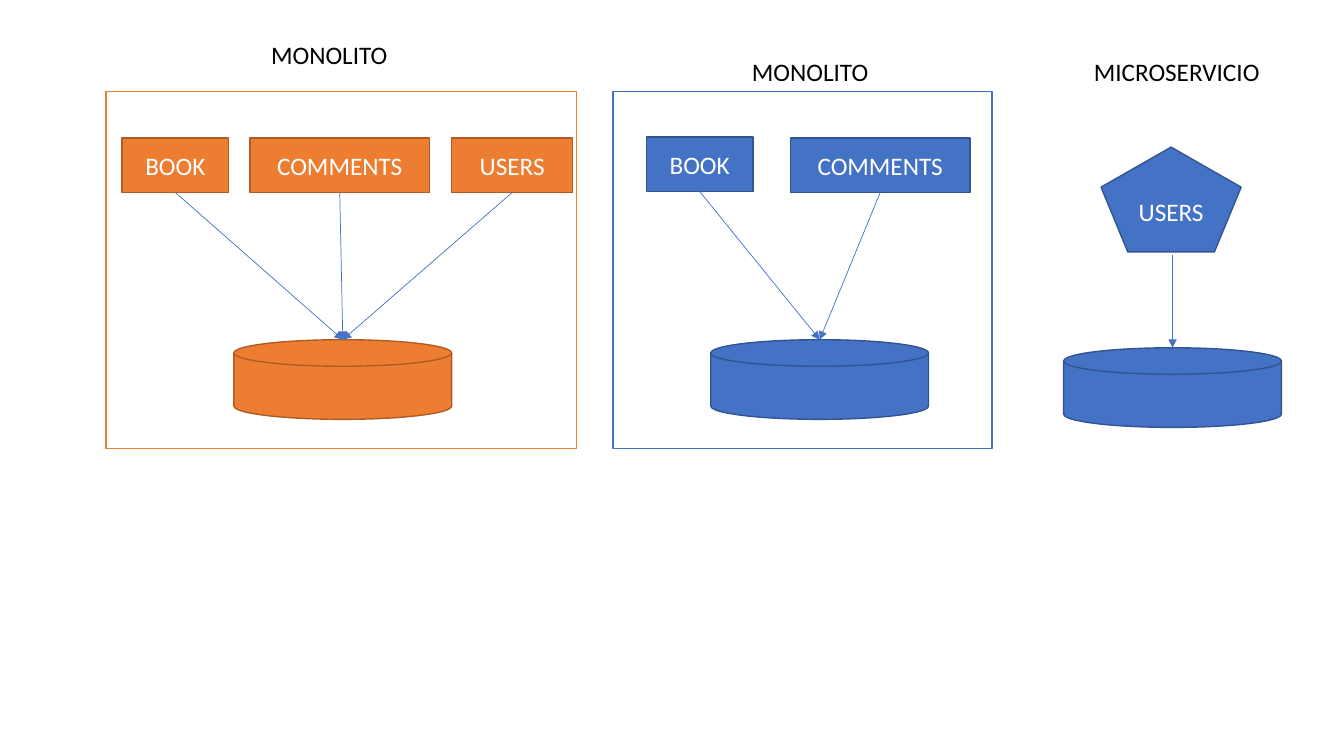
import pptx
import pptx.util
import pptx.dml.color
import pptx.enum.shapes
import pptx.enum.text
import pptx.oxml
from pptx.oxml.ns import qn
from pptx.util import Inches

SHAPES = pptx.enum.shapes.MSO_SHAPE
ORANGE, ORANGE_EDGE = "ED7D31", "AF5C24"
BLUE, BLUE_EDGE = "4472C4", "325491"
WHITE, BLACK = "FFFFFF", "000000"


def color(hex_string):
    """Return the RGB colour for a hex string."""
    return pptx.dml.color.RGBColor.from_string(hex_string)


def add_box(text, box, kind=None, fill=None, line=None, font_color=WHITE):
    """Add a shape of the given kind, or a text box if there is no kind."""
    lengths = [Inches(length) for length in box]
    if kind is None:
        shape = slide.shapes.add_textbox(*lengths)
        shape.text_frame.auto_size = pptx.enum.text.MSO_AUTO_SIZE.SHAPE_TO_FIT_TEXT
        alignment = pptx.enum.text.PP_ALIGN.LEFT
    else:
        shape = slide.shapes.add_shape(kind, *lengths)
        shape.shadow.inherit = False
        shape.fill.solid()
        shape.fill.fore_color.rgb = color(fill)
        shape.line.color.rgb = color(line)
        shape.line.width = pptx.util.Pt(1)
        shape.text_frame.vertical_anchor = pptx.enum.text.MSO_ANCHOR.MIDDLE
        alignment = pptx.enum.text.PP_ALIGN.CENTER
    shape.text_frame.word_wrap = True
    if text:
        paragraph = shape.text_frame.paragraphs[0]
        paragraph.alignment = alignment
        run = paragraph.add_run()
        run.text = text
        run.font.name = "Calibri"
        run.font.size = pptx.util.Pt(18)
        run.font.color.rgb = color(font_color)


presentation = pptx.Presentation()
presentation.slide_width = Inches(13.33)
presentation.slide_height = Inches(7.5)
slide = presentation.slides.add_slide(presentation.slide_layouts[6])

# Each system: title and its place, frame, database place, colours, services.
# Each service: name, shape, box, gap between the shape and its arrow.
systems = [
    ("MONOLITO", (2.59, 0.34), (1.05, 0.91, 4.67, 3.54), (2.32, 3.37),
     ORANGE, ORANGE_EDGE, [
         ("BOOK", SHAPES.RECTANGLE, (1.21, 1.37, 1.06, 0.54), 0),
         ("COMMENTS", SHAPES.RECTANGLE, (2.48, 1.37, 1.78, 0.54), 0),
         ("USERS", SHAPES.RECTANGLE, (4.48, 1.37, 1.2, 0.54), 0)]),
    ("MONOLITO", (7.36, 0.51), (6.08, 0.91, 3.76, 3.54), (7.05, 3.37),
     BLUE, BLUE_EDGE, [
         ("BOOK", SHAPES.RECTANGLE, (6.41, 1.36, 1.06, 0.54), 0),
         ("COMMENTS", SHAPES.RECTANGLE, (7.84, 1.37, 1.78, 0.54), 0)]),
    ("MICROSERVICIO", (10.75, 0.51), None, (10.55, 3.45),
     BLUE, BLUE_EDGE, [
         ("USERS", SHAPES.REGULAR_PENTAGON, (10.92, 1.46, 1.39, 1.04), 0.03)]),
]
database_width, database_height = 2.16, 0.79

for title, title_place, frame, database_place, fill, edge, services in systems:
    if frame:
        add_box("", frame, SHAPES.RECTANGLE, WHITE, fill)
    add_box(title, (*title_place, 2.74, 0.4), font_color=BLACK)
    add_box("", (*database_place, database_width, database_height),
            SHAPES.FLOWCHART_MAGNETIC_DISK, fill, edge)
    database_center = database_place[0] + database_width / 2
    for name, kind, box, gap in services:
        add_box(name, box, kind, fill, edge)
        left, top, width, height = box
        # A lone service stands straight above its database.
        start = left + width / 2 if len(services) > 1 else database_center
        arrow = slide.shapes.add_connector(
            pptx.enum.shapes.MSO_CONNECTOR.STRAIGHT,
            Inches(start), Inches(top + height + gap),
            Inches(database_center), Inches(database_place[1]))
        arrow.line.color.rgb = color(BLUE)
        arrow.line.width = pptx.util.Pt(0.5)
        arrow_line = arrow.line._get_or_add_ln()
        arrow_line.append(pptx.oxml.parse_xml(
            '<a:tailEnd xmlns:a="http://schemas.openxmlformats.org/drawingml/2006/main"'
            ' type="triangle"/>'))
        properties = arrow_line.getparent()
        properties.append(properties.makeelement(qn("a:effectLst"), {}))

presentation.save("out.pptx")
